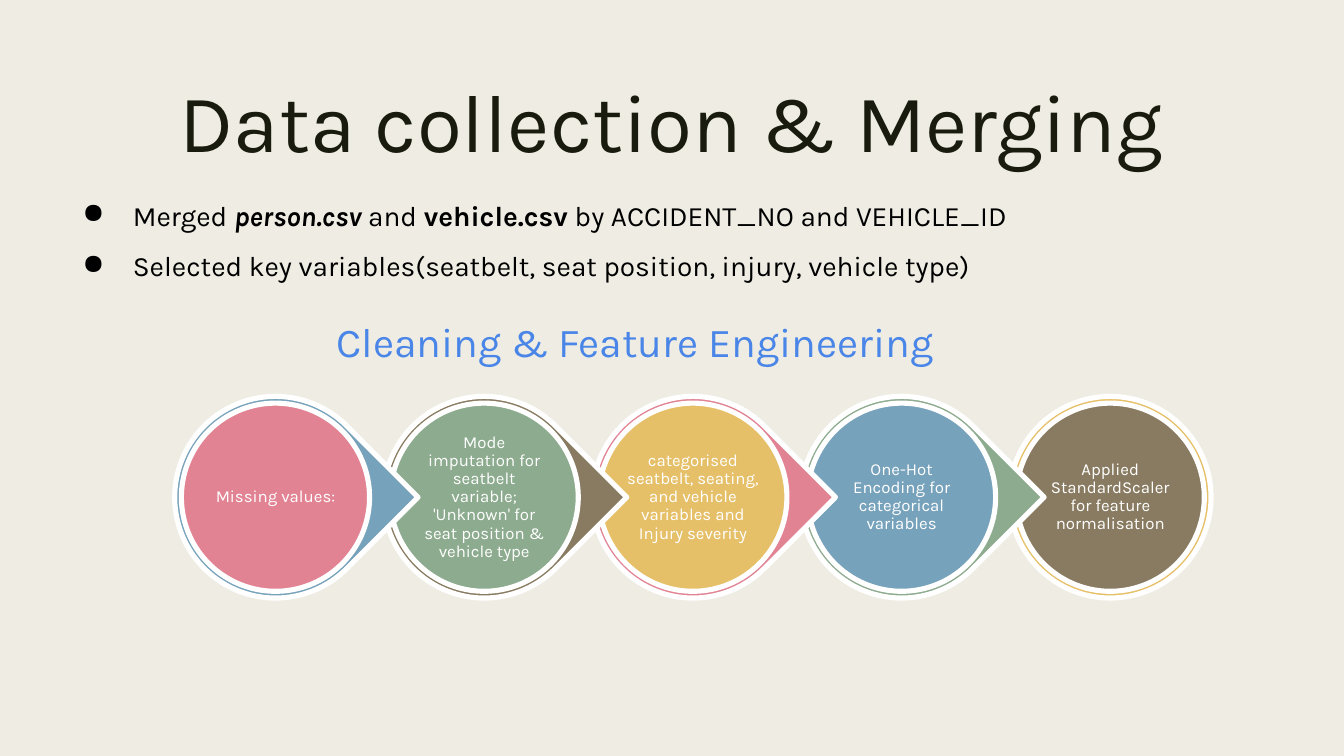
from lxml import etree
from pptx import Presentation
from pptx.dml.color import RGBColor
from pptx.enum.shapes import MSO_SHAPE
from pptx.enum.text import MSO_ANCHOR, PP_ALIGN
from pptx.oxml.ns import qn
from pptx.util import Pt

CREAM = RGBColor(0xEF, 0xED, 0xE3)
INK = RGBColor(0x19, 0x1B, 0x0E)
BLACK = RGBColor(0x00, 0x00, 0x00)
WHITE = RGBColor(0xFF, 0xFF, 0xFF)
HEADING_BLUE = RGBColor(0x4A, 0x86, 0xE8)
PINK = RGBColor(0xE2, 0x83, 0x94)
GREEN = RGBColor(0x8D, 0xAB, 0x8E)
GOLD = RGBColor(0xE6, 0xC0, 0x69)
BLUE = RGBColor(0x77, 0xA2, 0xBB)
BROWN = RGBColor(0x89, 0x7B, 0x61)

OVAL = MSO_SHAPE.OVAL
TEAR = MSO_SHAPE.TEAR
TOP = MSO_ANCHOR.TOP
MIDDLE = MSO_ANCHOR.MIDDLE
CENTER = PP_ALIGN.CENTER

PLAIN = {"bold": False, "italic": False}
BOLD = {"bold": True, "italic": False}
BOLD_ITALIC = {"bold": True, "italic": True}

BULLETS = [
    [
        ("Merged ", PLAIN),
        ("person.csv", BOLD_ITALIC),
        (" and ", PLAIN),
        ("vehicle.csv", BOLD),
        (" by ACCIDENT_NO and VEHICLE_ID", PLAIN),
    ],
    [("Selected key variables(seatbelt, seat position, injury, vehicle type)", PLAIN)],
]

STEPS = [
    ("Missing values:", PINK, BLUE),
    ("Mode imputation for seatbelt variable; 'Unknown' for seat position & vehicle type",
     GREEN, BROWN),
    ("categorised seatbelt, seating, and vehicle variables and Injury severity", GOLD, PINK),
    ("One-Hot Encoding for categorical variables", BLUE, GREEN),
    ("Applied StandardScaler for feature normalisation", BROWN, GOLD),
]
FIRST_CENTER = 147.6
STEP_PITCH = 111.8
STEP_MIDDLE = 266.4
RING_SIZE = 108
DISC_SIZE = 100.8
LABEL_SIZE = 72


class SlideBuilder:
    font_name = "Karla"
    outline_width = 2.75

    def __init__(self, slide):
        self.slide = slide
        slide.background.fill.solid()
        slide.background.fill.fore_color.rgb = CREAM

    def style(self, paragraph, size, color, **formats):
        for name, value in formats.items():
            setattr(paragraph, name, value)
        paragraph.font.name = self.font_name
        paragraph.font.size = Pt(size)
        paragraph.font.color.rgb = color

    def frame(self, shape, inset, anchor=TOP):
        formats = {"word_wrap": True, "vertical_anchor": anchor}
        for side in ("left", "top", "right", "bottom"):
            formats[f"margin_{side}"] = Pt(inset)
        for name, value in formats.items():
            setattr(shape.text_frame, name, value)
        return shape.text_frame

    def title(self, text, left, top, width, height):
        shape = self.slide.shapes.title
        box = {"left": left, "top": top, "width": width, "height": height}
        for name, value in box.items():
            setattr(shape, name, Pt(value))
        frame = self.frame(shape, 3.6)
        frame.text = text
        self.style(frame.paragraphs[0], 44, INK, alignment=CENTER, line_spacing=0.89)

    def text(self, text, left, top, width, height, size, color,
             shapes=None, inset=7.2, anchor=TOP, **formats):
        shapes = shapes or self.slide.shapes
        shape = shapes.add_textbox(Pt(left), Pt(top), Pt(width), Pt(height))
        frame = self.frame(shape, inset, anchor)
        frame.text = text
        self.style(frame.paragraphs[0], size, color, alignment=CENTER, **formats)

    def bullets(self, items, left, top, width, height):
        shape = self.slide.shapes.add_textbox(Pt(left), Pt(top), Pt(width), Pt(height))
        frame = self.frame(shape, 7.2)
        for index, runs in enumerate(items):
            paragraph = frame.add_paragraph() if index else frame.paragraphs[0]
            properties = paragraph._p.get_or_add_pPr()
            properties.set("marL", str(Pt(36)))
            properties.set("indent", str(-Pt(27)))
            bullet_color = etree.SubElement(properties, qn("a:buClr"))
            etree.SubElement(bullet_color, qn("a:srgbClr"), val=str(BLACK))
            etree.SubElement(properties, qn("a:buChar"), char="●")
            self.style(paragraph, 15, BLACK, line_spacing=1.5)
            for text, formats in runs:
                run = paragraph.add_run()
                run.text = text
                for name, value in formats.items():
                    setattr(run.font, name, value)

    def disc(self, shapes, kind, center, size, color, rotation=0):
        shape = shapes.add_shape(kind, Pt(center - size / 2), Pt(STEP_MIDDLE - size / 2),
                                 Pt(size), Pt(size))
        shape.rotation = rotation
        shape.shadow.inherit = False
        shape.fill.solid()
        shape.fill.fore_color.rgb = color
        shape.line.color.rgb = WHITE
        shape.line.width = Pt(self.outline_width)

    def process(self, steps):
        shapes = self.slide.shapes.add_group_shape().shapes
        last = len(steps) - 1
        for index, (text, disc_color, ring_color) in reversed(list(enumerate(steps))):
            center = FIRST_CENTER + index * STEP_PITCH
            kind, rotation = (OVAL, 0) if index == last else (TEAR, 45)
            self.disc(shapes, kind, center, RING_SIZE, ring_color, rotation)
            self.disc(shapes, OVAL, center, DISC_SIZE, disc_color)
            self.text(text, center - LABEL_SIZE / 2, STEP_MIDDLE - LABEL_SIZE / 2,
                      LABEL_SIZE, LABEL_SIZE, 9, WHITE, shapes=shapes,
                      inset=0.7, anchor=MIDDLE, line_spacing=0.9)


def main():
    presentation = Presentation()
    presentation.slide_width = Pt(720)
    presentation.slide_height = Pt(405)
    slide = presentation.slides.add_slide(presentation.slide_layouts[5])
    builder = SlideBuilder(slide)
    builder.title("Data collection & Merging", 38.2, 40.3, 643.7, 87.8)
    builder.bullets(BULLETS, 28.1, 90, 627.8, 83.5)
    builder.text("Cleaning & Feature Engineering", 167, 149, 346.3, 41, 22, HEADING_BLUE,
                 line_spacing=1.5)
    builder.process(STEPS)
    presentation.save("out.pptx")


if __name__ == "__main__":
    main()
